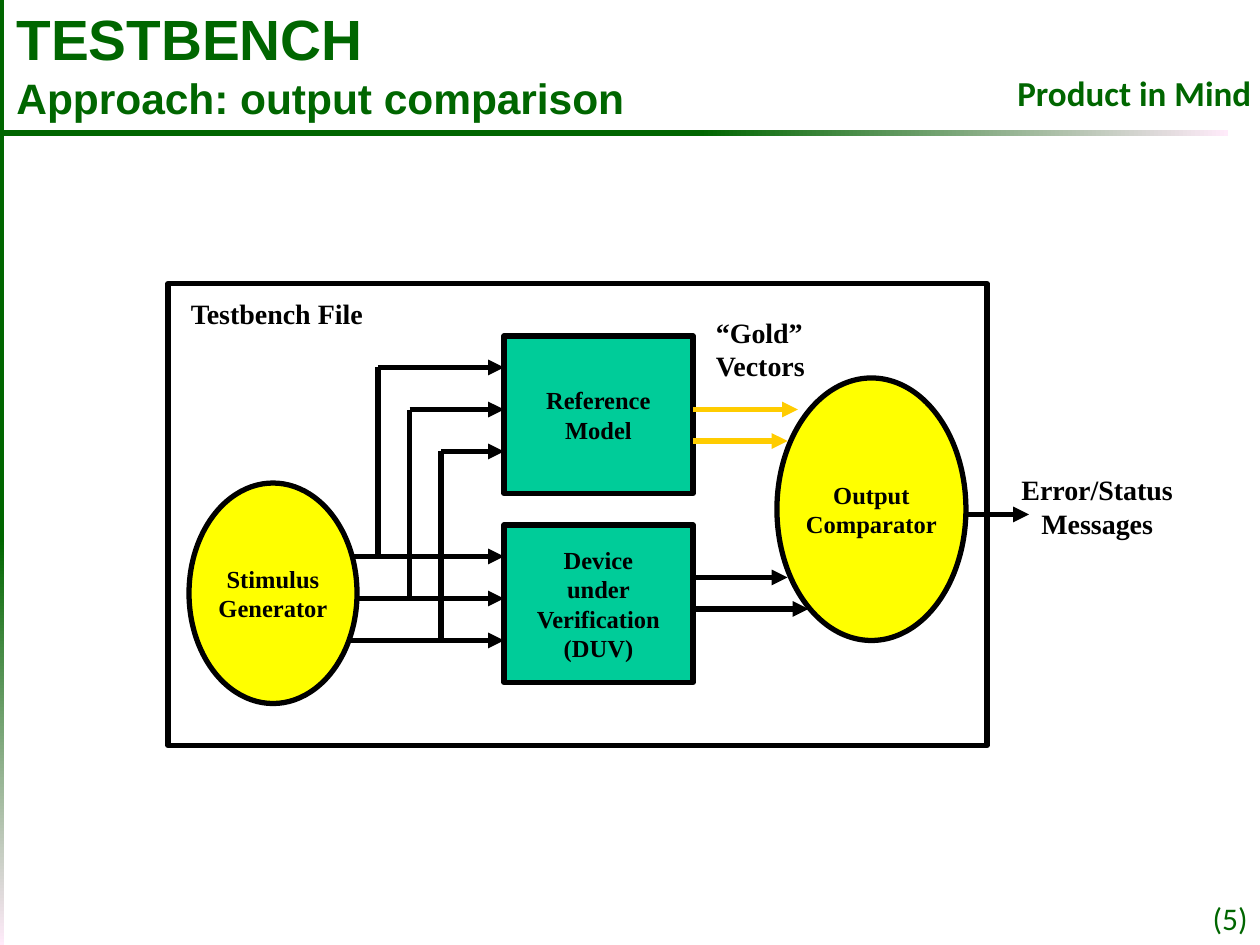
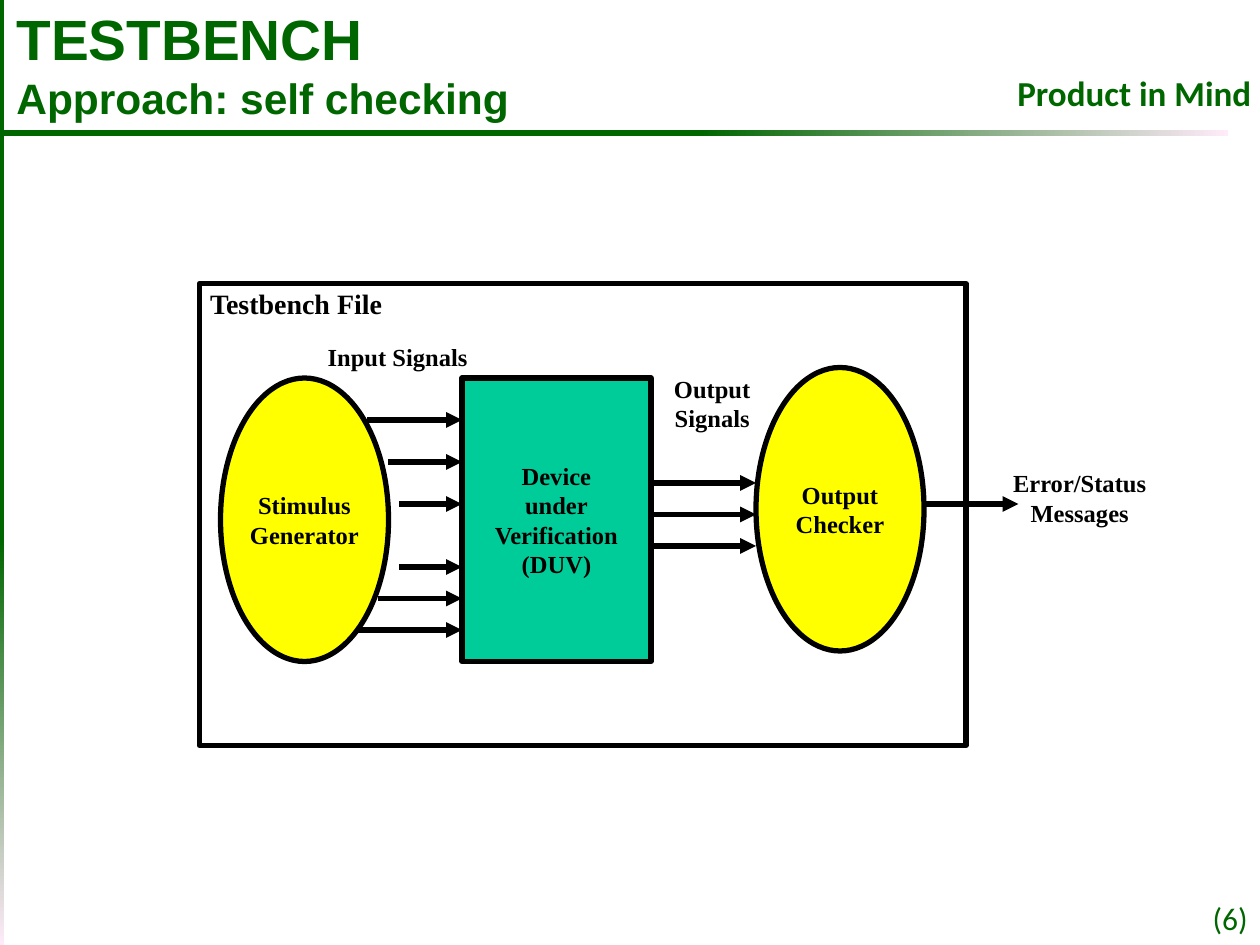
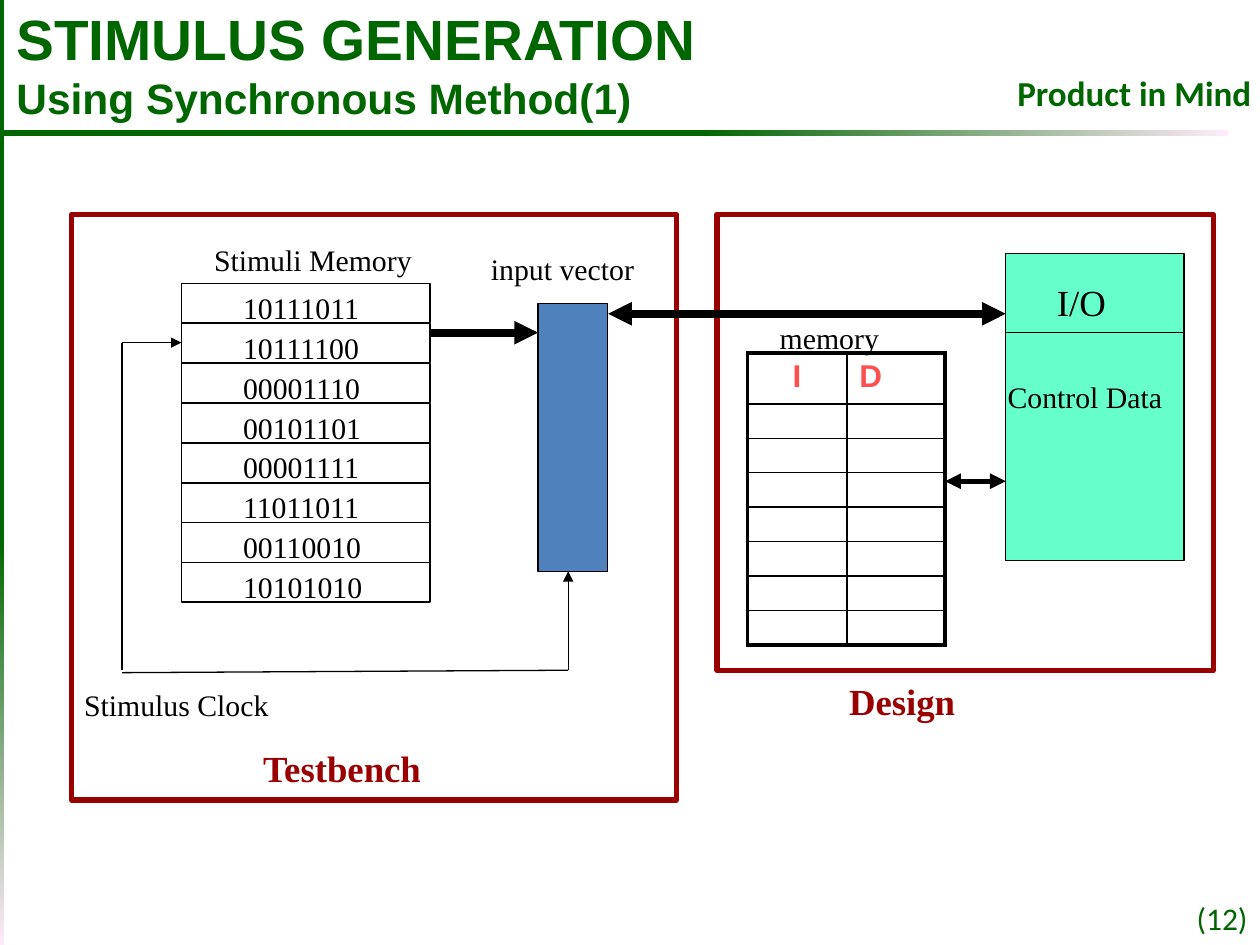
from dataclasses import dataclass

from lxml import etree
from pptx import Presentation
from pptx.dml.color import RGBColor
from pptx.enum.shapes import MSO_CONNECTOR, MSO_SHAPE
from pptx.enum.text import MSO_ANCHOR, MSO_AUTO_SIZE, PP_ALIGN
from pptx.oxml.ns import qn
from pptx.slide import Slide
from pptx.util import Pt

RECTANGLE, ELLIPSE = MSO_SHAPE.RECTANGLE, MSO_SHAPE.OVAL
STRAIGHT = MSO_CONNECTOR.STRAIGHT
TOP, MIDDLE = MSO_ANCHOR.TOP, MSO_ANCHOR.MIDDLE
LEFT, CENTER, RIGHT = PP_ALIGN.LEFT, PP_ALIGN.CENTER, PP_ALIGN.RIGHT

# Colours
GREEN = RGBColor(0x00, 0x66, 0x00)
PINK = RGBColor(0xFF, 0xEB, 0xFA)
BLACK = RGBColor(0x00, 0x00, 0x00)
TEAL = RGBColor(0x00, 0xCC, 0x99)
YELLOW = RGBColor(0xFF, 0xFF, 0x00)
GOLD = RGBColor(0xFF, 0xCC, 0x00)
BLUE = RGBColor(0x4F, 0x81, 0xBD)
MINT = RGBColor(0x66, 0xFF, 0xCC)
DARK_RED = RGBColor(0x99, 0x00, 0x00)
CORAL = RGBColor(0xFF, 0x50, 0x50)


def text_format(name, size, color=BLACK, bold=False):
    return {"name": name, "size": Pt(size), "bold": bold, "color": color}


# Text formats
TITLE = text_format("Arial", 32.4, GREEN, True)
SUBTITLE = text_format("Arial", 24.3, GREEN, True)
SLOGAN = text_format("Calibri", 20, GREEN, True)
PAGE_NUMBER = text_format("Calibri", 18, GREEN)
BLOCK = text_format("Times New Roman", 14, bold=True)
CAPTION = text_format("Times New Roman", 16, bold=True)
PLAIN = text_format("Times New Roman", 17)
PORT = text_format("Times New Roman", 21)
REGION_NAME = text_format("Times New Roman", 21, DARK_RED, True)
COLUMN_HEAD = text_format("Arial", 18, CORAL, True)

DEVICE = "Device\nunder\nVerification\n(DUV)"
STIMULI = ["10111011", "10111100", "00001110", "00101101",
           "00001111", "11011011", "00110010", "10101010"]


def add_run(paragraph, text, formatting):
    run = paragraph.add_run()
    run.text = text
    for name, value in formatting.items():
        if name == "color":
            run.font.color.rgb = value
        else:
            setattr(run.font, name, value)


def write_lines(frame, text, formatting, align):
    for index, line in enumerate(text.split("\n")):
        paragraph = frame.add_paragraph() if index else frame.paragraphs[0]
        paragraph.alignment = align
        add_run(paragraph, line, formatting)


@dataclass
class Region:
    """A box on a slide; its parts are placed from its top left corner."""
    slide: Slide
    left: float
    top: float
    width: float
    height: float

    def place(self, left, top, width, height):
        return Pt(self.left + left), Pt(self.top + top), Pt(width), Pt(height)

    def block(self, box, fill=None, line=BLACK, weight=3.0, text="", kind=RECTANGLE):
        shape = self.slide.shapes.add_shape(kind, *self.place(*box))
        shape.shadow.inherit = False
        if fill is None:
            shape.fill.background()
        else:
            shape.fill.solid()
            shape.fill.fore_color.rgb = fill
        if line is None:
            shape.line.fill.background()
        else:
            shape.line.color.rgb = line
            shape.line.width = Pt(weight)
        if text:
            shape.text_frame.word_wrap = False
            shape.text_frame.vertical_anchor = MIDDLE
            write_lines(shape.text_frame, text, BLOCK, CENTER)
        return shape

    def frame(self, line=BLACK):
        self.block((0, 0, self.width, self.height), line=line)

    def label(self, left, top, width, text, formatting, align=LEFT, anchor=TOP, wrap=True):
        line_count = text.count("\n") + 1
        height = line_count * formatting["size"].pt * 1.2 + 7.2
        box = self.slide.shapes.add_textbox(*self.place(left, top, width, height))
        box.text_frame.word_wrap = wrap
        box.text_frame.vertical_anchor = anchor
        write_lines(box.text_frame, text, formatting, align)

    def line(self, start, end, color=BLACK, weight=3.0, ends=()):
        start_x, start_y = start
        end_x, end_y = end
        connector = self.slide.shapes.add_connector(
            STRAIGHT, Pt(self.left + start_x), Pt(self.top + start_y),
            Pt(self.left + end_x), Pt(self.top + end_y))
        connector.line.color.rgb = color
        connector.line.width = Pt(weight)
        properties = connector._element.spPr
        for end_name in ends:
            etree.SubElement(properties.find(qn("a:ln")), qn(f"a:{end_name}"), type="triangle")
        etree.SubElement(properties, qn("a:effectLst"))

    def arrow(self, start, end, color=BLACK, weight=3.0):
        self.line(start, end, color, weight, ["tailEnd"])

    def double_arrow(self, start, end, weight):
        self.line(start, end, weight=weight, ends=["headEnd", "tailEnd"])


# Shared slide parts
def add_band(page, box, rotation=0):
    band = page.block(box, line=None)
    band.rotation = rotation
    band.fill.gradient()
    band.fill.gradient_angle = 0
    for stop, color, position in zip(band.fill.gradient_stops, (GREEN, PINK), (0.57, 1)):
        stop.color.rgb = color
        stop.position = position


def add_title(slide, title, subtitle):
    placeholder = slide.shapes.title
    placeholder.left, placeholder.top = Pt(2.2), Pt(0)
    placeholder.width, placeholder.height = Pt(568), Pt(72)
    frame = placeholder.text_frame
    frame.auto_size = MSO_AUTO_SIZE.NONE
    frame.word_wrap = True
    frame.vertical_anchor = MIDDLE
    paragraph = frame.paragraphs[0]
    paragraph.alignment = LEFT
    add_run(paragraph, title, TITLE)
    paragraph.add_line_break()
    line_break = paragraph._p.find(qn("a:br"))
    etree.SubElement(line_break, qn("a:rPr"), sz=str(TITLE["size"].centipoints))
    add_run(paragraph, subtitle, SUBTITLE)


def add_slide(presentation, title, subtitle, number):
    slide = presentation.slides.add_slide(presentation.slide_layouts[5])
    page = Region(slide, 0, 0, 720, 540)
    page.label(666, 510, 54, f"({number})", PAGE_NUMBER, RIGHT)
    add_band(page, (-269.3, 268.5, 540, 3.6), rotation=90)
    add_band(page, (0, 74.2, 702, 3.6))
    page.label(570, 37.5, 156.5, "Product in Mind", SLOGAN, CENTER)
    add_title(slide, title, subtitle)
    return slide


# Output comparison diagram
def draw_output_comparison(region):
    region.block((192, 138, 108, 90), TEAL, text=DEVICE)
    region.frame()
    region.label(6, 3.6, 168.5, "Testbench File", CAPTION, anchor=MIDDLE)
    region.block((192, 30, 108, 90), TEAL, text="Reference\nModel")

    # Each stimulus goes to the device and branches up to the reference model
    for index, start_x in enumerate((102, 108, 102)):
        branch_x = 120 + 18 * index
        model_y = 48 + 24 * index
        device_y = model_y + 108
        region.arrow((branch_x, model_y), (192, model_y))
        region.arrow((start_x, device_y), (192, device_y))
        region.line((branch_x, device_y), (branch_x, model_y))

    region.block((12, 114, 96, 126), YELLOW, text="Stimulus\nGenerator", kind=ELLIPSE)
    region.block((348, 54, 108, 150), YELLOW, text="Output\nComparator", kind=ELLIPSE)
    for end_x, y, color in ((360, 72, GOLD), (354, 90, GOLD), (354, 168, BLACK), (366, 186, BLACK)):
        region.arrow((300, y), (end_x, y), color)
    region.arrow((456, 132), (492, 132))
    region.label(480, 104.4, 102, "Error/Status\nMessages", CAPTION, CENTER, MIDDLE)
    region.label(306, 14.4, 72, "“Gold”\nVectors", CAPTION, anchor=MIDDLE)


# Self checking diagram
def draw_self_checking(region):
    region.block((150, 54, 108, 162), TEAL, text=DEVICE)
    region.frame()
    region.block((12, 54, 96, 162), YELLOW, text="Stimulus\nGenerator", kind=ELLIPSE)
    for start in ((96, 78), (108, 102), (114, 126), (114, 162), (102, 180), (90, 198)):
        region.arrow(start, (150, start[1]))
    region.label(264, 48, 58, "Output\nSignals", BLOCK, CENTER, MIDDLE, wrap=False)
    region.label(66, 30, 94.5, "Input Signals", BLOCK, CENTER, MIDDLE, wrap=False)
    region.label(-1, -2, 168.5, "Testbench File", CAPTION, anchor=MIDDLE)
    region.block((318, 48, 96, 162), YELLOW, text="Output\nChecker", kind=ELLIPSE)
    for y in (114, 132, 150):
        region.arrow((258, y), (318, y))
    region.arrow((414, 126), (468, 126))
    region.label(457.5, 102, 91, "Error/Status\nMessages", BLOCK, CENTER, MIDDLE, wrap=False)


# Testbench half of the synchronous method
def draw_testbench(region):
    for index, word in enumerate(STIMULI):
        top = 39.6 + 22.8 * index
        region.block((62.7, top, 142, 22.5), weight=0.75)
        region.label(90.8, top, 142, word, PLAIN)
    region.block((266.5, 51, 39.5, 153.4), BLUE, weight=0.75)
    region.label(232.5, 17.3, 124.5, "input vector", PLAIN)
    region.label(74.2, 12.2, 142, "Stimuli Memory", PLAIN)

    # Clock path to the memory and to the vector
    region.line((28.8, 262), (283.7, 260.6), weight=0.75)
    region.arrow((283.7, 260.6), (283.7, 204), weight=0.75)
    region.line((28.8, 260.6), (28.8, 73.4), weight=0.75)
    region.arrow((28.8, 73.4), (62.7, 73.4), weight=0.75)
    region.label(0, 266.4, 124.5, "Stimulus Clock", PLAIN)

    region.frame(DARK_RED)
    region.arrow((204.5, 67.7), (266.5, 67.7), weight=4.5)
    region.label(102.3, 300.2, 164, "Testbench", REGION_NAME)


def set_borders(cell, weights):
    properties = cell._tc.get_or_add_tcPr()
    for index, (side, weight) in enumerate(weights.items()):
        border = etree.Element(qn(f"a:ln{side}"), w=str(Pt(weight)))
        fill = etree.SubElement(border, qn("a:solidFill"))
        etree.SubElement(fill, qn("a:srgbClr"), val=str(BLACK))
        properties.insert(index, border)


def add_memory_table(region, box):
    row_count, column_count = 8, 2
    table = region.slide.shapes.add_table(row_count, column_count, *region.place(*box)).table
    table.first_row = table.horz_banding = False
    for column, width in zip(table.columns, (56.9, 56.2)):
        column.width = Pt(width)
    for index, row in enumerate(table.rows):
        row.height = Pt(19.7 if index else 29.2)
        for position, cell in enumerate(row.cells):
            cell.fill.background()
            set_borders(cell, {
                "L": 1 if position else 2.25,
                "R": 2.25 if position == column_count - 1 else 1,
                "T": 1 if index else 2.25,
                "B": 2.25 if index == row_count - 1 else 1})
            if index:
                # Small empty text keeps the rows low
                etree.SubElement(cell.text_frame.paragraphs[0]._p, qn("a:endParaRPr"), sz="900")
    write_lines(table.cell(0, 0).text_frame, "I", COLUMN_HEAD, CENTER)
    write_lines(table.cell(0, 1).text_frame, "D", COLUMN_HEAD, LEFT)


# Design half of the synchronous method
def draw_design(region):
    region.frame(DARK_RED)
    region.label(68.4, 262, 164, "Design", REGION_NAME)
    add_memory_table(region, (17.3, 79.2, 113.1, 167))
    region.label(28.8, 57, 124.5, "memory", PLAIN)
    region.block((165, 22.3, 102, 175.7), MINT, weight=0.75)
    region.line((165, 67.7), (267, 67.7), weight=0.75)
    region.label(187.2, 33.8, 85, "I/O", PORT)
    region.label(159, 90.7, 124.5, "Control Data", PLAIN)
    region.double_arrow((130.4, 152.6), (165, 152.6), 3)


def main():
    presentation = Presentation()
    presentation.slide_width, presentation.slide_height = Pt(720), Pt(540)

    slide = add_slide(presentation, "TESTBENCH", "Approach: output comparison", 5)
    draw_output_comparison(Region(slide, 96, 162, 468, 264))

    slide = add_slide(presentation, "TESTBENCH", "Approach: self checking", 6)
    draw_self_checking(Region(slide, 114, 162, 438, 264))

    slide = add_slide(presentation, "STIMULUS GENERATION", "Using Synchronous Method(1)", 12)
    draw_testbench(Region(slide, 41, 122.4, 345.6, 334.8))
    draw_design(Region(slide, 409.7, 122.4, 283.7, 260.6))
    Region(slide, 0, 0, 720, 540).double_arrow((347.5, 179.3), (574.7, 179.3), 4.5)

    presentation.save("out.pptx")


if __name__ == "__main__":
    main()
